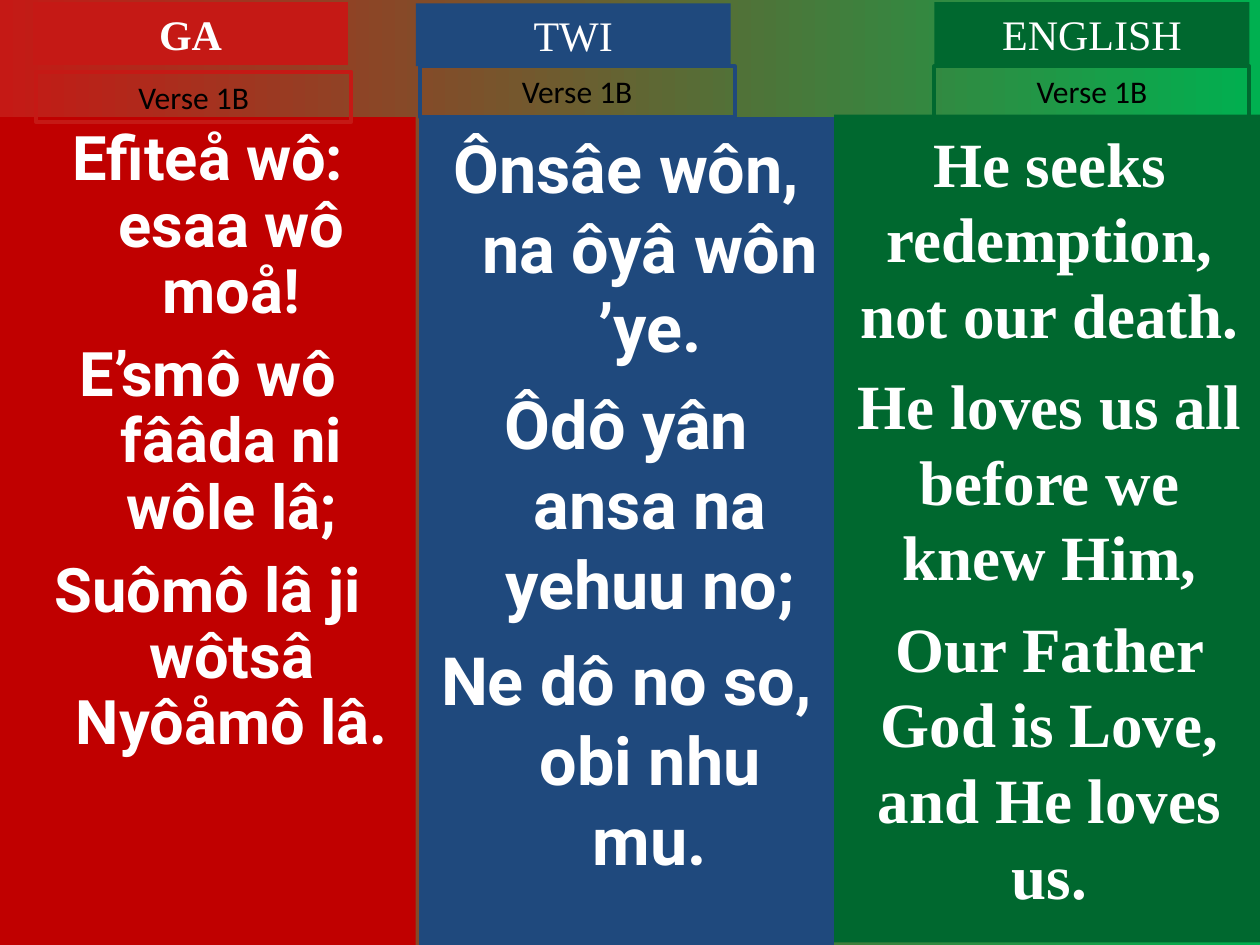
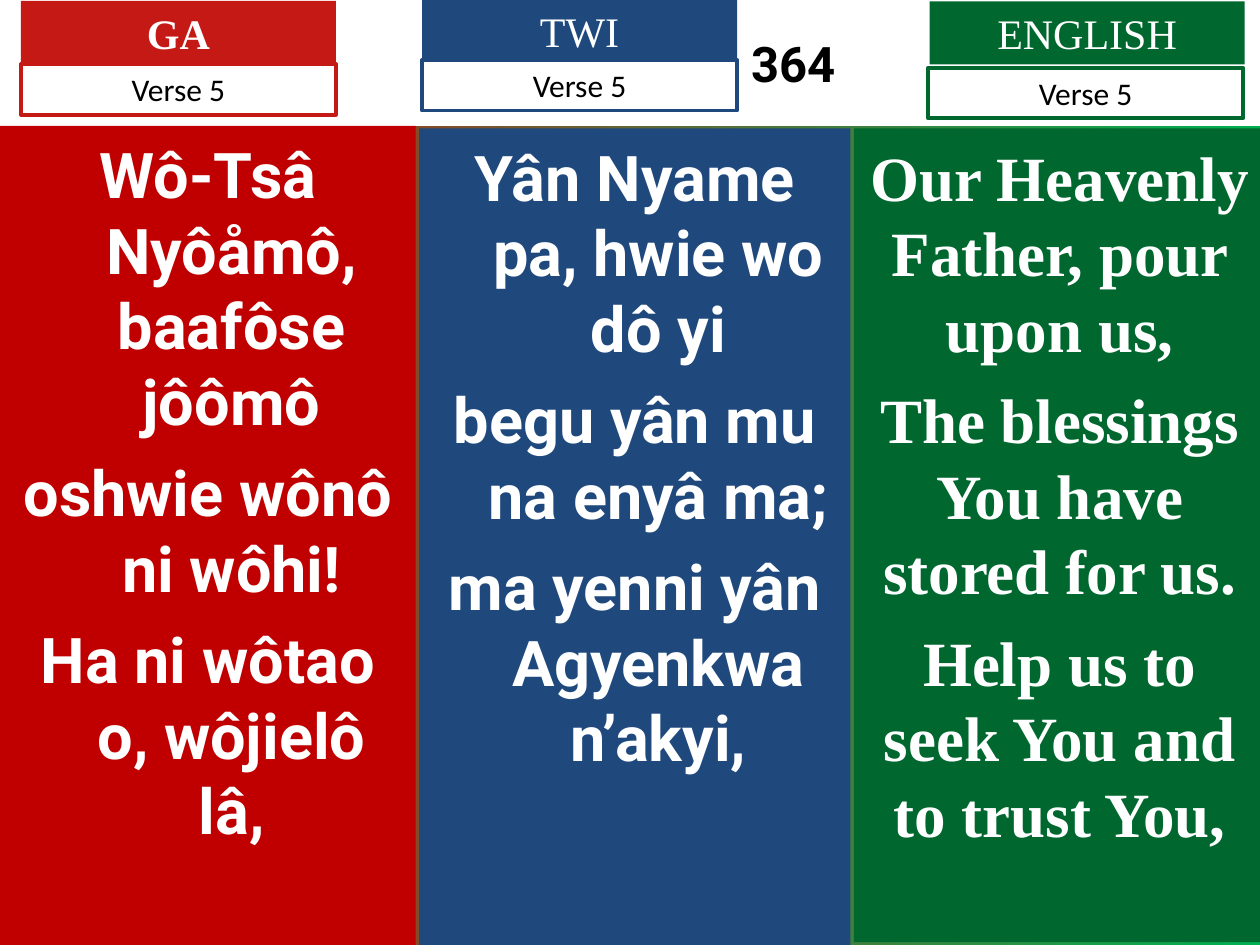
import pptx
import pptx.util
import pptx.dml.color
import pptx.enum.shapes
import pptx.enum.text

Pt = pptx.util.Pt
RGB = pptx.dml.color.RGBColor
ANCHOR = pptx.enum.text.MSO_ANCHOR

GA_HEAD = RGB(0xC5, 0x19, 0x15)
GA_BODY = RGB(0xC0, 0x00, 0x00)
TWI_BLUE = RGB(0x1F, 0x49, 0x7D)
ENGLISH_GREEN = RGB(0x00, 0x68, 0x2F)
BRIGHT_GREEN = RGB(0x00, 0xB0, 0x50)
WHITE = RGB(0xFF, 0xFF, 0xFF)
BLACK = RGB(0x00, 0x00, 0x00)

LABEL_W, HEAD_H, VERSE_H = 180, 36, 28.8
HANGING = 27
LINE_FACTOR = 1.2

LANGUAGES = {
    "GA": dict(head=GA_HEAD, body=GA_BODY, font="Roboto", bold=True, hanging=HANGING),
    "TWI": dict(head=TWI_BLUE, body=TWI_BLUE, font="Roboto", bold=False, hanging=HANGING),
    "ENGLISH": dict(head=ENGLISH_GREEN, body=ENGLISH_GREEN, font="Times New Roman",
                    bold=False, hanging=0),
}

VERSE_1B = {
    "GA": dict(
        column=(0, 67, 237.6, 473), head=(18.9, 1.2), verse=(20.7, 41),
        size=35.1, tight=0.9, gap=9.5,
        lines=["Efiteå wô: esaa wô moå!", "E’smô wô fââda ni wôle lâ;",
               "Suômô lâ ji wôtsâ Nyôåmô lâ."]),
    "TWI": dict(
        column=(239.5, 67, 237, 473), head=(237.6, 1.9), verse=(239.8, 37.9),
        size=38, gap=9.5,
        lines=["Ônsâe wôn, na ôyâ wôn ’ye.", "Ôdô yân ansa na yehuu no;",
               "Ne dô no so, obi nhu mu."]),
    "ENGLISH": dict(
        column=(476.6, 65.5, 246.2, 473), head=(534, 1.2), verse=(534, 37.9),
        lines=["He seeks redemption, not our death.",
               "He loves us all before we knew Him,",
               "Our Father God is Love, and He loves us."]),
}

VERSE_5 = {
    "GA": dict(
        column=(0, 72, 237.6, 468), head=(12, 0.6), verse=(12, 36.7),
        lines=["Wô-Tsâ Nyôåmô, baafôse jôômô", "oshwie wônô ni wôhi!",
               "Ha ni wôtao o, wôjielô lâ,"]),
    "TWI": dict(
        column=(239.5, 73.4, 246.5, 466.6), head=(241.2, -0.6), verse=(241.2, 34.4),
        lines=["Yân Nyame pa, hwie wo dô yi", "begu yân mu na enyâ ma;",
               "ma yenni yân Agyenkwa n’akyi,"]),
    "ENGLISH": dict(
        column=(488, 73.4, 235, 465), head=(531.2, 0.8), verse=(530.4, 38.8),
        lines=["Our Heavenly Father, pour upon us,",
               "The blessings You have stored for us.",
               "Help us to seek You and to trust You,"]),
}


def add_box(s, box, fill=None, line=None):
    sp = s.shapes.add_shape(pptx.enum.shapes.MSO_SHAPE.RECTANGLE, *map(Pt, box))
    sp.shadow.inherit = False
    if fill is None:
        sp.fill.background()
    else:
        sp.fill.solid()
        sp.fill.fore_color.rgb = fill
    if line is None:
        sp.line.fill.background()
    else:
        sp.line.color.rgb = line
        sp.line.width = Pt(2.25)
    return sp


def write_text(sp, lines, size, font, color, bold=False, anchor=ANCHOR.TOP,
               left=7.2, top=3.6, hanging=0, spacing=None, gap=0):
    tf = sp.text_frame
    tf.word_wrap = True
    tf.vertical_anchor = anchor
    tf.margin_left, tf.margin_right = Pt(left), Pt(7.2)
    tf.margin_top, tf.margin_bottom = Pt(top), Pt(3.6)
    for i, line in enumerate(lines):
        p = tf.add_paragraph() if i else tf.paragraphs[0]
        p.alignment = pptx.enum.text.PP_ALIGN.CENTER
        p.space_before = Pt(gap if i else 0)
        if spacing:
            p.line_spacing = Pt(spacing)
        if hanging:
            pPr = p._p.get_or_add_pPr()
            pPr.set("marL", str(Pt(hanging)))
            pPr.set("indent", str(-Pt(hanging)))
        r = p.add_run()
        r.text = line
        r.font.size = Pt(size)
        r.font.name = font
        r.font.bold = bold
        r.font.color.rgb = color


def add_column(s, style, column, lines, size=36, tight=1, gap=9):
    sp = add_box(s, column, fill=style["body"])
    write_text(sp, lines, size, style["font"], WHITE, bold=True, top=5.5,
               hanging=style["hanging"], spacing=round(size * LINE_FACTOR * tight, 1),
               gap=gap)


def add_labels(s, language, style, head, verse, verse_name):
    sp = add_box(s, (*head, LABEL_W, HEAD_H), fill=style["head"])
    write_text(sp, [language], 24, "Times New Roman", WHITE, bold=style["bold"])
    sp = add_box(s, (*verse, LABEL_W, VERSE_H), line=style["head"])
    write_text(sp, [verse_name], 18, "Calibri", BLACK)


def add_number_band(s, number):
    sp = add_box(s, (0, 0, 720, 72), fill=WHITE)
    write_text(sp, [number], 28, "Roboto", BLACK, bold=True, anchor=ANCHOR.MIDDLE, left=194)


def set_background(s):
    fill = s.background.fill
    fill.gradient()
    fill.gradient_angle = 0
    for stop, color in zip(fill.gradient_stops, (GA_HEAD, BRIGHT_GREEN)):
        stop.color.rgb = color


def add_verse_slide(prs, verse_name, verses, number=None):
    s = prs.slides.add_slide(prs.slide_layouts[6])
    set_background(s)
    if number:
        add_number_band(s, number)
    for language, verse in verses.items():
        style = LANGUAGES[language]
        text = {k: v for k, v in verse.items() if k not in ("head", "verse")}
        add_column(s, style, **text)
        add_labels(s, language, style, verse["head"], verse["verse"], verse_name)


def main():
    prs = pptx.Presentation()
    prs.slide_width, prs.slide_height = Pt(720), Pt(540)
    add_verse_slide(prs, "Verse 1B", VERSE_1B)
    add_verse_slide(prs, "Verse 5", VERSE_5, number="364")
    prs.save("out.pptx")


if __name__ == "__main__":
    main()
